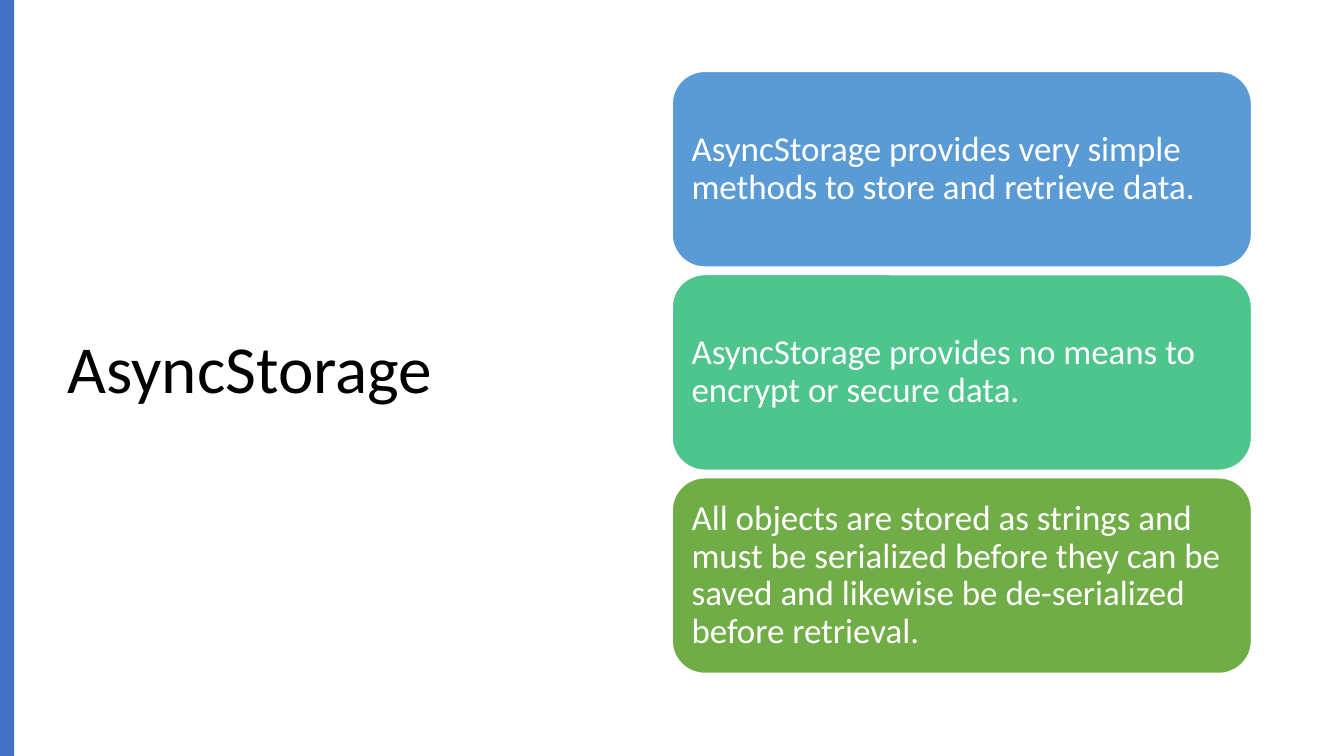
from pptx import Presentation
from pptx.dml.color import RGBColor
from pptx.enum.shapes import MSO_SHAPE
from pptx.enum.text import MSO_ANCHOR, PP_ALIGN
from pptx.util import Cm, Pt

TITLE = "AsyncStorage"
CARDS = [
    ("blue", "AsyncStorage provides very simple methods to store and retrieve data."),
    ("mint", "AsyncStorage provides no means to encrypt or secure data."),
    ("green", "All objects are stored as strings and must be serialized before "
              "they can be saved and likewise be de-serialized before retrieval."),
]
COLORS = {
    "bar": "4472C4", "blue": "5B9BD5", "mint": "4DC58D", "green": "70AD47",
    "white": "FFFFFF", "black": "000000",
}
FONT = "Calibri"
SLIDE_WIDTH, SLIDE_HEIGHT = 33.87, 19.05
BAR_WIDTH = 0.36
CARD_LEFT, CARD_TOP, CARD_WIDTH, CARD_HEIGHT = 16.94, 1.8, 14.6, 4.93
CARD_GAP = 0.19
CARD_INSET = 0.25


def color(name):
    return RGBColor.from_string(COLORS[name])


def write(shape, text, size, color_name):
    frame = shape.text_frame
    frame.text = text
    frame.word_wrap = True
    frame.vertical_anchor = MSO_ANCHOR.MIDDLE
    para = frame.paragraphs[0]
    para.alignment = PP_ALIGN.LEFT
    para.line_spacing = 0.9
    font = para.runs[0].font
    font.name = FONT
    font.size = Pt(size)
    font.color.rgb = color(color_name)


def add_block(slide, kind, left, top, width, height, fill):
    block = slide.shapes.add_shape(kind, Cm(left), Cm(top), Cm(width), Cm(height))
    block.shadow.inherit = False
    block.fill.solid()
    block.fill.fore_color.rgb = color(fill)
    block.line.fill.background()
    return block


def add_card(slide, index, fill, text):
    top = CARD_TOP + index * (CARD_HEIGHT + CARD_GAP)
    card = add_block(slide, MSO_SHAPE.ROUNDED_RECTANGLE,
                     CARD_LEFT, top, CARD_WIDTH, CARD_HEIGHT, fill)
    card.line.color.rgb = color("white")
    card.line.width = Pt(1)
    write(card, text, 25, "white")
    frame = card.text_frame
    frame.margin_left = frame.margin_right = Cm(CARD_INSET)
    frame.margin_top = frame.margin_bottom = Cm(CARD_INSET)


def main():
    deck = Presentation()
    deck.slide_width, deck.slide_height = Cm(SLIDE_WIDTH), Cm(SLIDE_HEIGHT)
    slide = deck.slides.add_slide(deck.slide_layouts[5])

    title = slide.shapes.title
    title.left, title.top = Cm(1.45), Cm(1.73)
    title.width, title.height = Cm(14.4), Cm(15.29)
    write(title, TITLE, 48, "black")

    add_block(slide, MSO_SHAPE.RECTANGLE, 0, 0, BAR_WIDTH, SLIDE_HEIGHT, "bar")
    for index, (fill, text) in enumerate(CARDS):
        add_card(slide, index, fill, text)

    deck.save("out.pptx")


if __name__ == "__main__":
    main()
